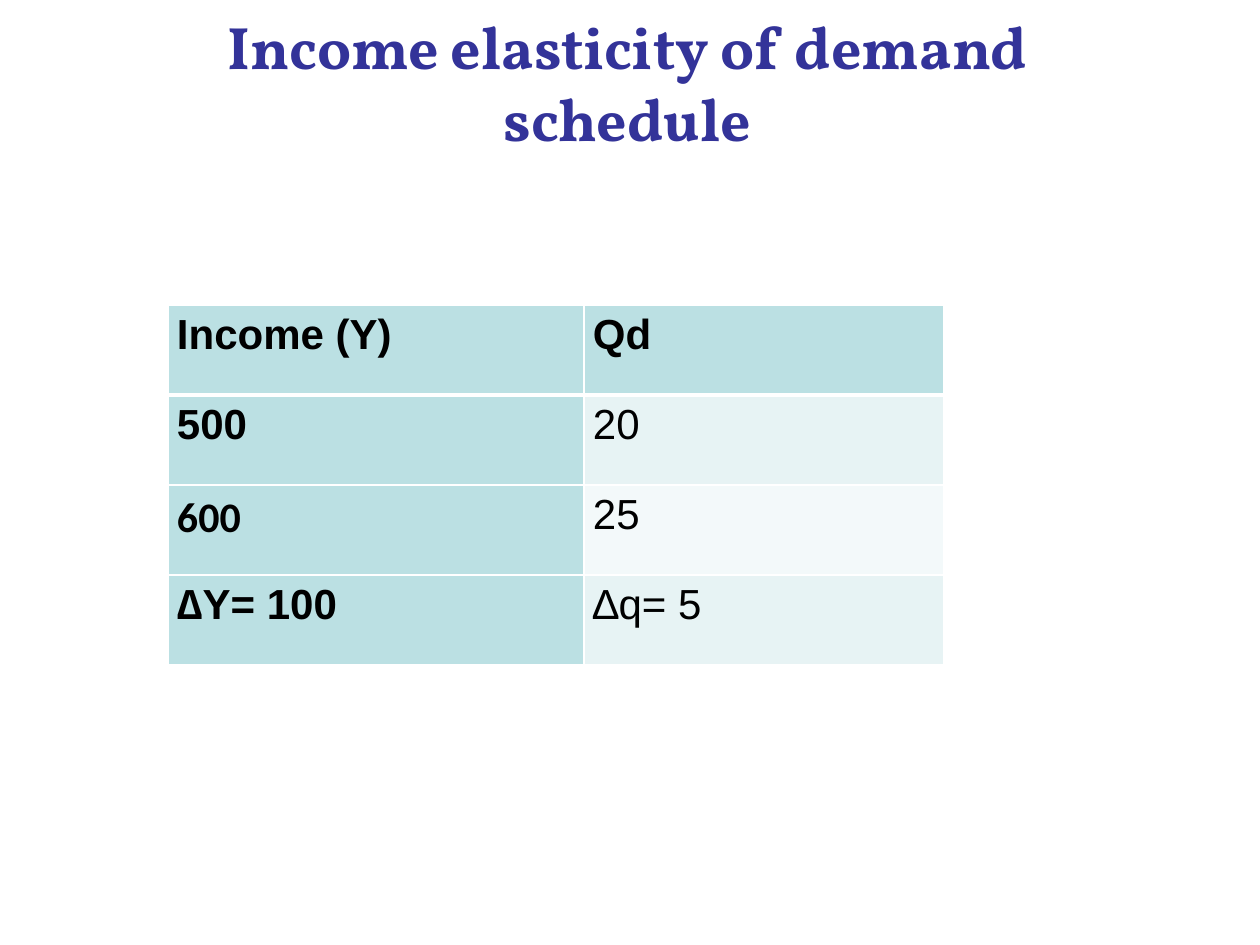
from lxml import etree
from pptx import Presentation
from pptx.dml.color import RGBColor
from pptx.enum.text import MSO_ANCHOR, MSO_AUTO_SIZE, PP_ALIGN
from pptx.oxml.ns import qn
from pptx.util import Emu, Pt

CENTER = PP_ALIGN.CENTER
MIDDLE = MSO_ANCHOR.MIDDLE
FIXED = MSO_AUTO_SIZE.NONE
NAVY = RGBColor(0x33, 0x33, 0x99)
BLACK = RGBColor(0, 0, 0)
WHITE = RGBColor(0xFF, 0xFF, 0xFF)
TEAL = RGBColor(0xBB, 0xE0, 0xE3)
PALE = RGBColor(0xE7, 0xF3, 0xF4)
FAINT = RGBColor(0xF3, 0xF9, 0xFA)

ROWS = [
    ("Income (Y)", "Qd"),
    ("500", "20"),
    ("600", "25"),
    ("∆Y= 100", "∆q= 5"),
]


def px(size):
    return Emu(round(size * 914400 / 126))


class Deck:
    def __init__(self, wide, high):
        self.file = Presentation()
        self.file.slide_width, self.file.slide_height = px(wide), px(high)
        self.slide = self.file.slides.add_slide(self.file.slide_layouts[5])

    def style(self, para, face, size, color, bold):
        font = para.font
        font.name, font.size, font.bold = face, Pt(size), bold
        font.color.rgb = color

    def title(self, text, left, top, wide, high):
        box = self.slide.shapes.title
        box.left, box.top, box.width, box.height = map(px, (left, top, wide, high))
        frame = box.text_frame
        frame.text = text
        frame.auto_size = FIXED
        frame.vertical_anchor = MIDDLE
        para = frame.paragraphs[0]
        para.alignment = CENTER
        self.style(para, "Vollkorn", 34.2, NAVY, True)

    def edge(self, cell, side, width):
        line = etree.SubElement(cell._tc.get_or_add_tcPr(), qn("a:" + side), w=str(Pt(width)))
        fill = etree.SubElement(line, qn("a:solidFill"))
        etree.SubElement(fill, qn("a:srgbClr"), val=str(WHITE))

    def cell(self, cell, text, face, bold, color, base):
        cell.margin_left = cell.margin_right = px(9)
        cell.margin_top = cell.margin_bottom = 0
        cell.text = text
        para = cell.text_frame.paragraphs[0]
        para.line_spacing = 1.15
        self.style(para, face, 24, BLACK, bold)
        for side, width in (("lnL", 1), ("lnR", 1), ("lnT", 1), ("lnB", base)):
            self.edge(cell, side, width)
        cell.fill.solid()
        cell.fill.fore_color.rgb = color

    def table(self, rows, left, top, cols, high):
        size = px(left), px(top), px(sum(cols)), px(high * len(rows))
        grid = self.slide.shapes.add_table(len(rows), len(cols), *size).table
        for col, wide in zip(grid.columns, cols):
            col.width = px(wide)
        for r, row in enumerate(rows):
            for c, text in enumerate(row):
                head = r == 0 or c == 0
                color = TEAL if head else PALE if r % 2 else FAINT
                face = "Calibri" if text == "600" else "Arial"
                self.cell(grid.cell(r, c), text, face, head, color, 1 if r else 3)


def main():
    deck = Deck(1260, 945)
    deck.title("Income elasticity of demand\vschedule", 48, 35, 1159, 93)
    deck.table(ROWS, 168, 305, (416, 360), 90)
    deck.file.save("out.pptx")


if __name__ == "__main__":
    main()
